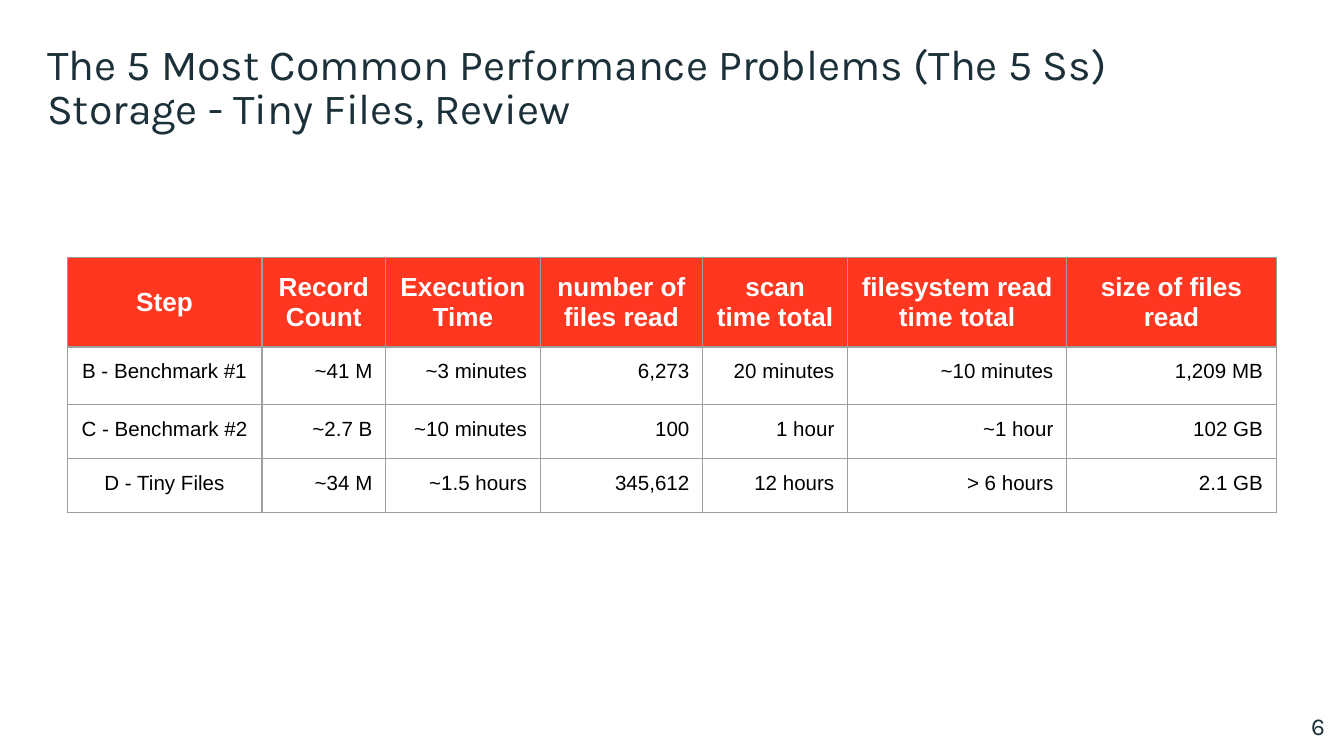
import pptx
import pptx.dml.color
import pptx.enum.text
import pptx.oxml
import pptx.oxml.ns
import pptx.util

Cm = pptx.util.Cm
ALIGN = pptx.enum.text.PP_ALIGN
ANCHOR = pptx.enum.text.MSO_ANCHOR

COLOURS = {
    "ink": "1B3038",
    "header": "FF3620",
    "white": "FFFFFF",
    "black": "000000",
    "grid": "9E9E9E",
}

# text, (left, top, width, height) in cm, (left, top, right, bottom) insets in cm,
# size, alignment, anchor
TEXTS = [
    ("The 5 Most Common Performance Problems (The 5 Ss)", (0, 0.64, 25.4, 1.07),
     (0.89, 0.08, 0, 0), 23, ALIGN.LEFT, ANCHOR.TOP),
    ("Storage - Tiny Files, Review", (0, 1.47, 25.4, 1.27),
     (0.89, 0.08, 0, 0), 23, ALIGN.LEFT, ANCHOR.TOP),
    ("6", (23.77, 13.18, 1.52, 1.09),
     (0.25, 0.25, 0.25, 0.25), 13, ALIGN.RIGHT, ANCHOR.MIDDLE),
]

# A \v is a line break inside a paragraph.
ROWS = [
    ["Step", "Record\vCount", "Execution\vTime", "number of\vfiles read",
     "scan time total", "filesystem read\vtime total", "size of files read"],
    ["B - Benchmark #1", "~41 M", "~3 minutes", "6,273",
     "20 minutes", "~10 minutes", "1,209 MB"],
    ["C - Benchmark #2", "~2.7 B", "~10 minutes", "100",
     "1 hour", "~1 hour", "102 GB"],
    ["D - Tiny Files", "~34 M", "~1.5 hours", "345,612",
     "12 hours", "> 6 hours", "2.1 GB"],
]
TABLE_LEFT, TABLE_TOP = 1.27, 4.87
COLUMN_WIDTHS = [3.68, 2.34, 2.92, 3.07, 2.74, 4.14, 3.96]
ROW_HEIGHTS = [1.62, 1.09, 1.02, 1.02]
CELL_INSET = 0.25

HEADER_FONT = {"name": "Arial", "size": pptx.util.Pt(14), "bold": True}
BODY_FONT = {"name": "Arial", "size": pptx.util.Pt(11), "bold": False}


def set_all(target, values):
    for name, value in values.items():
        setattr(target, name, value)


def rgb(name):
    return pptx.dml.color.RGBColor.from_string(COLOURS[name])


def insets(left, top, right, bottom):
    return {"margin_left": Cm(left), "margin_top": Cm(top),
            "margin_right": Cm(right), "margin_bottom": Cm(bottom)}


def style_text(frame, align, font, colour):
    for para in frame.paragraphs:
        para.alignment = align
        for span in para.runs:
            set_all(span.font, font)
            span.font.color.rgb = rgb(colour)


def add_text(page, text, place, margins, size, align, anchor):
    frame = page.shapes.add_textbox(*map(Cm, place)).text_frame
    set_all(frame, {"word_wrap": True, "vertical_anchor": anchor, **insets(*margins)})
    frame.text = text
    style_text(frame, align, {"name": "Karla", "size": pptx.util.Pt(size)}, "ink")


def add_borders(cell):
    properties = cell._tc.get_or_add_tcPr()
    for position, side in enumerate(("lnL", "lnR", "lnT", "lnB")):
        line = pptx.oxml.parse_xml(
            f'<a:{side} {pptx.oxml.ns.nsdecls("a")} w="{pptx.util.Pt(0.75)}">'
            f'<a:solidFill><a:srgbClr val="{COLOURS["grid"]}"/></a:solidFill>'
            f'</a:{side}>')
        properties.insert(position, line)


def add_results_table(page):
    frame = page.shapes.add_table(
        len(ROWS), len(COLUMN_WIDTHS), Cm(TABLE_LEFT), Cm(TABLE_TOP),
        Cm(sum(COLUMN_WIDTHS)), Cm(sum(ROW_HEIGHTS)))
    table = frame.table
    table.horz_banding = False
    for column, width in zip(table.columns, COLUMN_WIDTHS):
        column.width = Cm(width)
    for row, height in zip(table.rows, ROW_HEIGHTS):
        row.height = Cm(height)

    for r, texts in enumerate(ROWS):
        header = r == 0
        for c, text in enumerate(texts):
            cell = table.cell(r, c)
            cell.text_frame.text = text
            set_all(cell, {"vertical_anchor": ANCHOR.MIDDLE if header else ANCHOR.TOP,
                           **insets(*[CELL_INSET] * 4)})
            cell.fill.solid()
            cell.fill.fore_color.rgb = rgb("header" if header else "white")
            add_borders(cell)
            style_text(cell.text_frame,
                       ALIGN.CENTER if header or c == 0 else ALIGN.RIGHT,
                       HEADER_FONT if header else BODY_FONT,
                       "white" if header else "black")


def main():
    deck = pptx.Presentation()
    set_all(deck, {"slide_width": Cm(25.4), "slide_height": Cm(14.29)})
    page = deck.slides.add_slide(deck.slide_layouts[6])
    for entry in TEXTS:
        add_text(page, *entry)
    add_results_table(page)
    deck.save("out.pptx")


if __name__ == "__main__":
    main()
